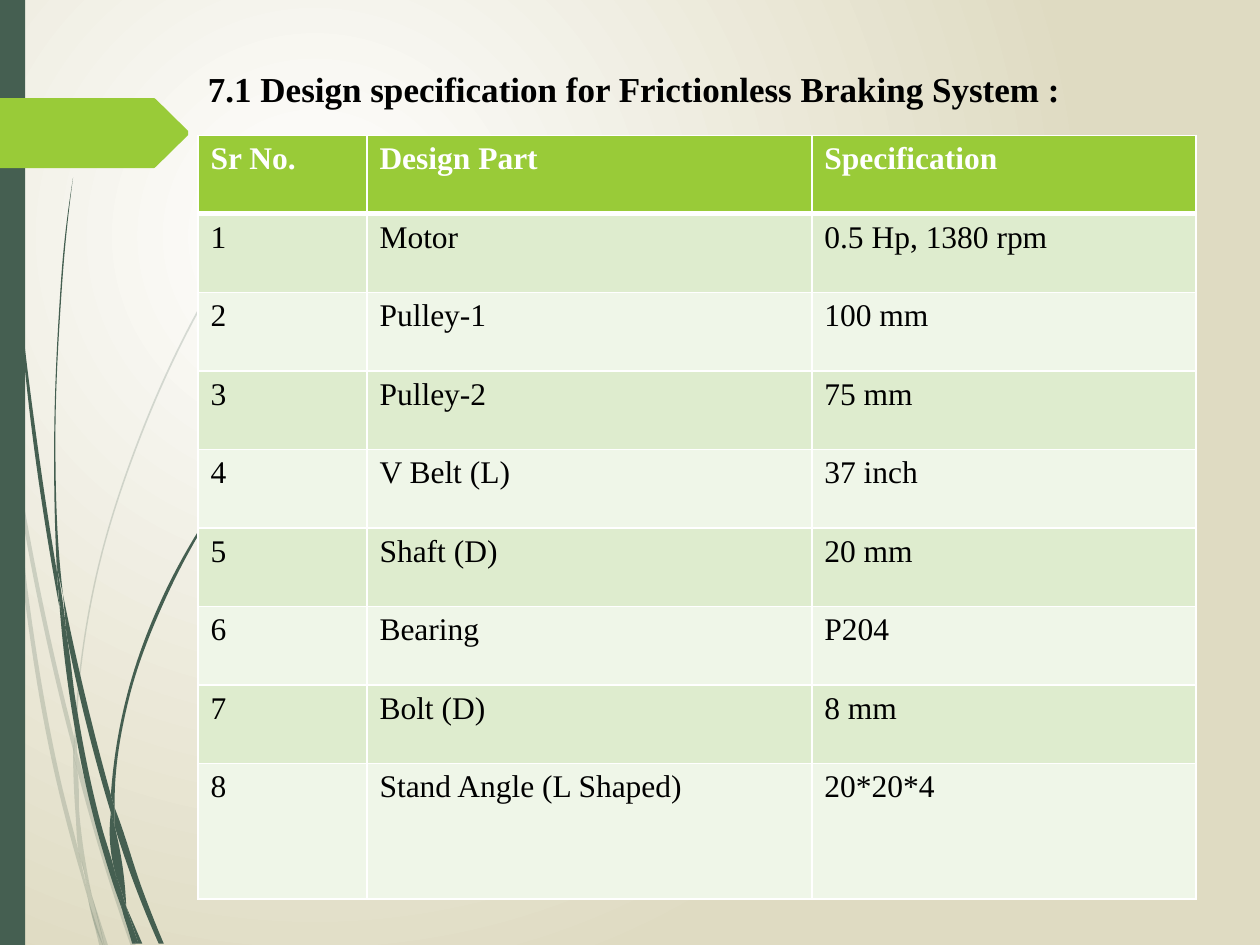
from dataclasses import dataclass

from lxml import etree
from pptx import Presentation
from pptx.dml.color import RGBColor
from pptx.enum.shapes import MSO_SHAPE
from pptx.enum.text import MSO_ANCHOR, MSO_AUTO_SIZE, PP_ALIGN
from pptx.oxml.ns import qn
from pptx.util import Pt

RECTANGLE = MSO_SHAPE.RECTANGLE
MIDDLE = MSO_ANCHOR.MIDDLE
NO_AUTOFIT = MSO_AUTO_SIZE.NONE
LEFT = PP_ALIGN.LEFT
TITLE_ONLY = 5


@dataclass(frozen=True)
class Theme:
    font: str = "Times New Roman"
    title_size: int = 20
    table_size: int = 18
    ink: str = "000000"
    paper: str = "FFFFFF"
    sand: str = "DFDBC2"
    forest: str = "455F51"
    lime: str = "99CB38"
    bands: tuple = ("DEECCE", "EFF6E8")


THEME = Theme()

# Grass pieces: the points of one side, then those of the other side on the
# way back, on a grid of 0.72 points.
GRID = 0.72
PALE_GRASS = [
    ([(8, 350), (6, 322), (0, 282)], [(0, 299), (7, 344), (8, 350)]),
    ([(10, 345), (43, 520), (59, 586)], [(59, 599), (40, 522), (12, 376)]),
    ([(61, 596), (64, 607), (88, 692), (108, 751)], [(104, 751), (85, 694), (61, 610)]),
    ([(73, 711), (86, 751)], [(83, 751)]),
    ([(8, 350), (12, 376), (22, 469), (48, 619), (64, 683), (69, 707), (70, 714)],
     [(64, 693), (45, 621), (19, 470), (8, 350)]),
    ([(58, 599), (60, 646), (64, 683), (67, 692), (73, 711)],
     [(72, 706), (63, 646), (61, 610), (58, 599)]),
    ([(217, 153), (201, 175), (186, 197), (158, 244), (110, 348), (75, 461), (59, 586)],
     [(61, 596), (61, 584), (76, 462), (111, 349), (159, 245), (187, 198), (201, 175),
      (217, 154)]),
    ([(70, 714), (79, 751)], [(82, 751)]),
    ([(61, 610), (61, 596)], [(59, 586), (58, 599)]),
    ([(65, 683), (69, 707), (70, 714), (82, 751)], [(83, 751), (73, 711), (67, 692)]),
]
DARK_GRASS = [
    ([(2, 0), (2, 48), (5, 110), (14, 233), (27, 355), (47, 481)],
     [(45, 453), (30, 355), (15, 232), (6, 109), (4, 48), (3, 0)]),
    ([(50, 472), (77, 590), (88, 631)], [(88, 645), (73, 592), (53, 505)]),
    ([(91, 641), (94, 649), (113, 706), (130, 749)], [(126, 749), (109, 708), (91, 656)]),
    ([(47, 477), (53, 505), (60, 556), (81, 657), (91, 691), (97, 722)],
     [(92, 708), (77, 659), (56, 557), (47, 477)]),
    ([(58, 141), (51, 193), (47, 245), (43, 349), (45, 449)],
     [(50, 472), (48, 453), (44, 349), (48, 245), (52, 193), (58, 141)]),
    ([(100, 719), (110, 749)], [(113, 749)]),
    ([(45, 449), (49, 472), (53, 505)], [(47, 477), (45, 453)]),
    ([(215, 344), (203, 358), (191, 373), (168, 405), (129, 474), (101, 551), (88, 631)],
     [(91, 641), (91, 633), (103, 552), (131, 476), (169, 406), (191, 374), (203, 359),
      (216, 344)]),
    ([(97, 722), (105, 749)], [(108, 749)]),
    ([(88, 645), (91, 691), (96, 706), (100, 719)], [(100, 716), (91, 656), (88, 645)]),
    ([(88, 645), (91, 656)], [(91, 641), (88, 631)]),
    ([(91, 691), (96, 717), (97, 722), (108, 749)], [(110, 749), (100, 719), (96, 706)]),
]
TAG_OUTLINE = [(0, 0), (0.82, 0), (0.83, 0.02), (1, 0.47), (1, 0.53), (0.83, 0.98),
               (0.82, 1), (0, 1)]

SPEC_ROWS = [
    ("Sr No.", "Design Part", "Specification"),
    ("1", "Motor", "0.5 Hp, 1380 rpm"),
    ("2", "Pulley-1", "100 mm"),
    ("3", "Pulley-2", "75 mm"),
    ("4", "V Belt (L)", "37 inch"),
    ("5", "Shaft (D)", "20 mm"),
    ("6", "Bearing", "P204"),
    ("7", "Bolt (D)", "8 mm"),
    ("8", "Stand Angle (L Shaped)", "20*20*4"),
]


def rgb(color):
    return RGBColor.from_string(color)


def paint(shape, color, opacity=100):
    shape.shadow.inherit = False
    shape.fill.solid()
    shape.fill.fore_color.rgb = rgb(color)
    shape.line.fill.background()
    if opacity < 100:
        tint = shape.fill._xPr.find(".//" + qn("a:srgbClr"))
        etree.SubElement(tint, qn("a:alpha"), val=str(opacity * 1000))


def style_text(paragraph, size, color, bold):
    paragraph.alignment = LEFT
    for run in paragraph.runs:
        run.font.name = THEME.font
        run.font.size = Pt(size)
        run.font.bold = bold
        run.font.color.rgb = rgb(color)


def add_outline(shapes, left, top, points):
    corners = [(Pt(left + x), Pt(top + y)) for x, y in points]
    builder = shapes.build_freeform(*corners[0], scale=1.0)
    builder.add_line_segments(corners[1:], close=True)
    return builder.convert_to_shape()


def find_headings(knots):
    """Unit directions of a smooth curve at its knots, with arcs at both ends."""
    chords = [end - start for start, end in zip(knots, knots[1:])]
    units = [chord / abs(chord) for chord in chords]
    inner = []
    for i in range(1, len(chords)):
        blend = units[i - 1] * abs(chords[i]) + units[i] * abs(chords[i - 1])
        inner.append(blend / abs(blend))
    first = units[0] ** 2 * inner[0].conjugate()
    last = units[-1] ** 2 * inner[-1].conjugate()
    return [first, *inner, last]


def bend(outline, sides):
    """Turn the straight segments along each side into cubic curves."""
    steps = list(outline._element.find(".//" + qn("a:path")))
    start = 0
    for side in sides:
        side_steps = steps[start:start + len(side)]
        start += len(side)
        if len(side) < 3:
            continue
        knots = [complex(int(step[0].get("x")), int(step[0].get("y"))) for step in side_steps]
        headings = find_headings(knots)
        for i, step in enumerate(side_steps[1:]):
            handle = abs(knots[i + 1] - knots[i]) / 3
            curve = etree.Element(qn("a:cubicBezTo"))
            for point in (knots[i] + headings[i] * handle,
                          knots[i + 1] - headings[i + 1] * handle, knots[i + 1]):
                etree.SubElement(curve, qn("a:pt"), x=str(round(point.real)),
                                 y=str(round(point.imag)))
            step.getparent().replace(step, curve)


def add_background(slide):
    fill = slide.background.fill
    fill.gradient()
    for stop, color, position in zip(fill.gradient_stops, (THEME.paper, THEME.sand), (0, 1)):
        stop.color.rgb = rgb(color)
        stop.position = position
    gradient = slide.background._cSld.find(".//" + qn("a:gradFill"))
    circle = etree.Element(qn("a:path"), {"path": "circle"})
    etree.SubElement(circle, qn("a:fillToRect"), l="50000", t="50000", r="100000", b="100000")
    gradient.replace(gradient.find(qn("a:lin")), circle)


def add_grass(slide, left, top, pieces, opacity):
    tuft = slide.shapes.add_group_shape().shapes
    for sides in pieces:
        points = [(x * GRID, y * GRID) for side in sides for x, y in side]
        blade = add_outline(tuft, left, top, points)
        bend(blade, sides)
        paint(blade, THEME.forest, opacity)


def add_side_bar(slide, left, top, width, height):
    bar = slide.shapes.add_shape(RECTANGLE, Pt(left), Pt(top), Pt(width), Pt(height))
    paint(bar, THEME.forest)


def add_tag(slide, left, top, width, height):
    points = [(x * width, y * height) for x, y in TAG_OUTLINE]
    paint(add_outline(slide.shapes, left, top, points), THEME.lime)


def add_title(slide, left, top, width, height):
    title = slide.shapes.title
    title.left, title.top, title.width, title.height = map(Pt, (left, top, width, height))
    frame = title.text_frame
    frame.text = "7.1 Design specification for Frictionless Braking System :"
    frame.word_wrap = True
    frame.auto_size = NO_AUTOFIT
    frame.vertical_anchor = MIDDLE
    style_text(frame.paragraphs[0], THEME.title_size, THEME.ink, True)


def add_border(cell, side, width):
    edge = etree.SubElement(cell._tc.get_or_add_tcPr(), qn("a:ln" + side), w=str(Pt(width)))
    etree.SubElement(etree.SubElement(edge, qn("a:solidFill")), qn("a:srgbClr"), val=THEME.paper)


def add_spec_table(slide, left, top, column_widths, row_heights):
    box = map(Pt, (left, top, sum(column_widths), sum(row_heights)))
    table = slide.shapes.add_table(len(row_heights), len(column_widths), *box).table
    for column, width in zip(table.columns, column_widths):
        column.width = Pt(width)
    for row, height in zip(table.rows, row_heights):
        row.height = Pt(height)
    for r, entries in enumerate(SPEC_ROWS):
        header = r == 0
        for c, entry in enumerate(entries):
            cell = table.cell(r, c)
            cell.text = entry
            style_text(cell.text_frame.paragraphs[0], THEME.table_size,
                       THEME.paper if header else THEME.ink, header)
            for side in "LRTB":
                add_border(cell, side, 3 if (r, side) in ((0, "B"), (1, "T")) else 1)
            cell.fill.solid()
            cell.fill.fore_color.rgb = rgb(THEME.lime if header else THEME.bands[(r - 1) % 2])


def main():
    deck = Presentation()
    deck.slide_width, deck.slide_height = Pt(720), Pt(540)
    slide = deck.slides.add_slide(deck.slide_layouts[TITLE_ONLY])
    add_background(slide)
    add_grass(slide, 0, 0, PALE_GRASS, opacity=20)
    add_grass(slide, 0, 0, DARK_GRASS, opacity=100)
    add_side_bar(slide, 0, 0, 14.4, 540)
    add_tag(slide, 0, 56, 107.5, 40)
    add_spec_table(slide, 113.2, 77.3, (96.5, 254.2, 219.5), [44.88] * 8 + [77.5])
    add_title(slide, 111.6, 34.9, 515, 31.5)
    deck.save("out.pptx")


if __name__ == "__main__":
    main()
